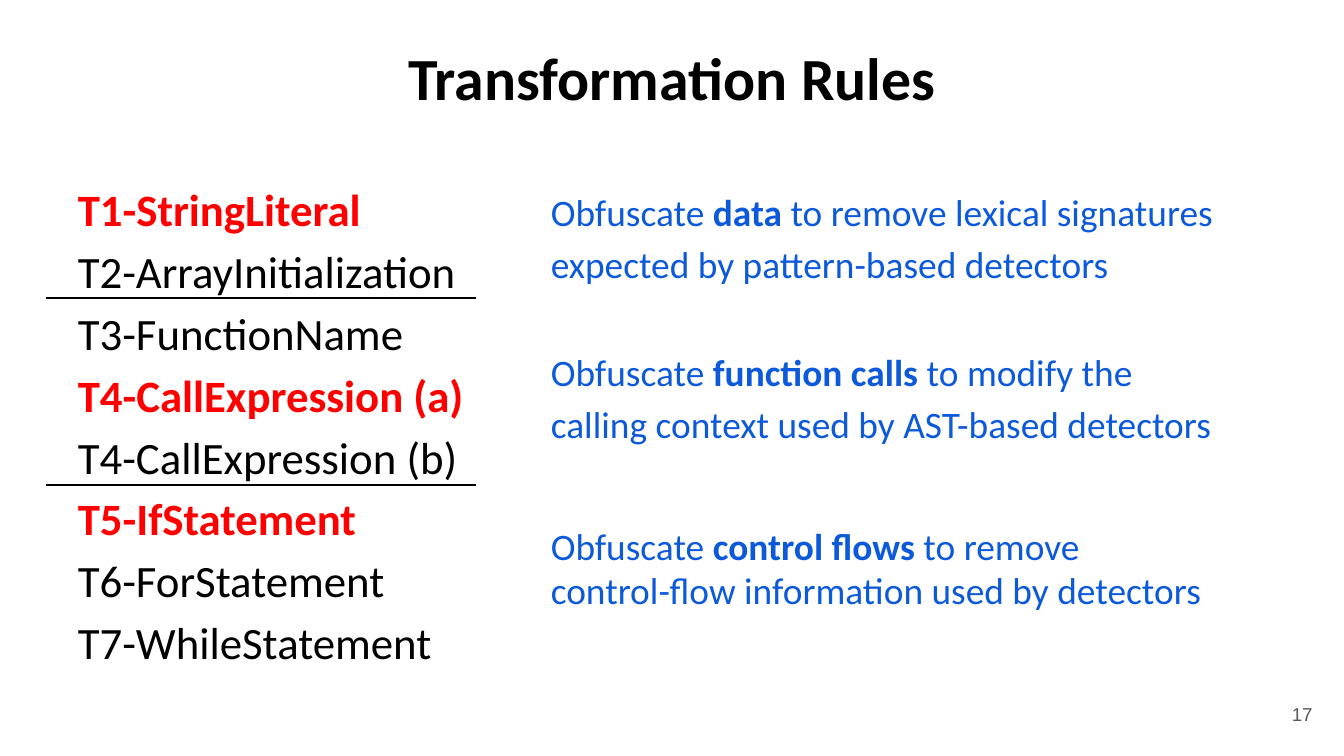
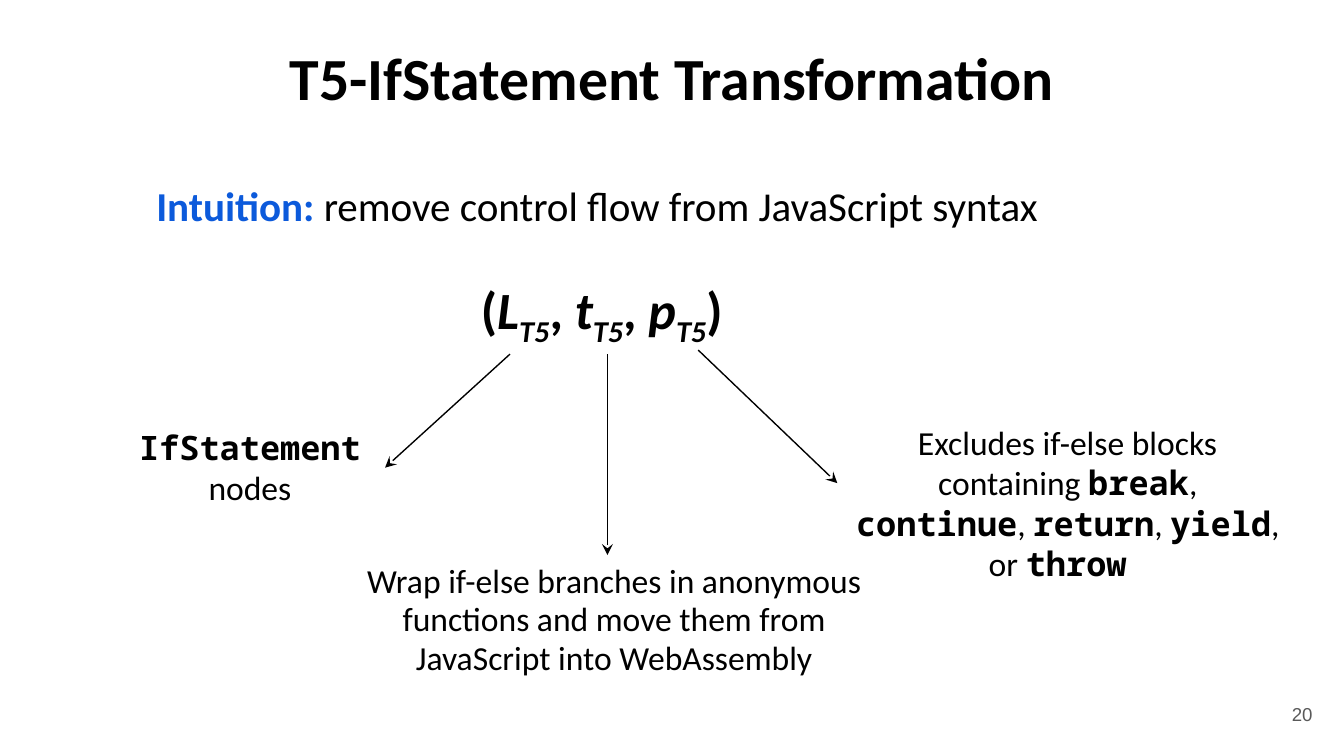
from dataclasses import dataclass, replace

from lxml.etree import SubElement
from pptx import Presentation
from pptx.dml.color import RGBColor
from pptx.enum.shapes import MSO_CONNECTOR as Connector
from pptx.enum.text import MSO_ANCHOR as Anchor, MSO_AUTO_SIZE as AutoSize, PP_ALIGN as Align
from pptx.oxml.ns import qn
from pptx.util import Pt

PX = 4572


@dataclass(frozen=True)
class Style:
    size: int
    color: str = "000000"
    font: str = "Calibri"
    bold: bool = False
    italic: bool = False
    baseline: int = 0


@dataclass(frozen=True)
class Theme:
    background: str = "FFFFFF"
    ink: str = "000000"
    blue: str = "0C5ADB"
    red: str = "FF0000"
    title: Style = Style(32, bold=True)
    rule: Style = Style(24)
    intuition: Style = Style(22)
    purpose: Style = Style(20, blue)
    formula: Style = Style(28, bold=True)
    label: Style = Style(18)
    code: Style = Style(18, font="Noto Sans Mono", bold=True)
    number: Style = Style(10, "595959", "Arial")
    separator_width: float = 1.25
    arrow_width: float = 0.75


class Deck:
    def __init__(self, theme):
        self.theme = theme
        self.presentation = Presentation()
        self.presentation.slide_width = 2000 * PX
        self.presentation.slide_height = 1125 * PX
        self.slide = None

    def start_slide(self, title, number):
        layout = self.presentation.slide_layouts[5]
        self.slide = self.presentation.slides.add_slide(layout)
        fill = self.slide.background.fill
        fill.solid()
        fill.fore_color.rgb = RGBColor.from_string(self.theme.background)
        shape = self.slide.shapes.title
        shape.left, shape.top, shape.width, shape.height = (
            value * PX for value in (68, 40, 1864, 162)
        )
        self.fill_frame(shape, [[(title, self.theme.title)]], align=Align.CENTER, inset=20)
        self.text((1853, 1020, 120, 86), [[(str(number), self.theme.number)]],
                  align=Align.RIGHT, inset=20, anchor=Anchor.MIDDLE)

    def text(self, box, paragraphs, **options):
        shape = self.slide.shapes.add_textbox(*(value * PX for value in box))
        self.fill_frame(shape, paragraphs, **options)
        return shape

    def fill_frame(self, shape, paragraphs, align=Align.LEFT, spacing=1.0,
                   indent=0, inset=10, anchor=Anchor.TOP):
        frame = shape.text_frame
        frame.word_wrap = True
        frame.auto_size = AutoSize.NONE
        frame.vertical_anchor = anchor
        frame.margin_left = frame.margin_right = 20 * PX
        frame.margin_top = frame.margin_bottom = inset * PX
        for index, runs in enumerate(paragraphs):
            paragraph = frame.add_paragraph() if index else frame.paragraphs[0]
            paragraph.alignment = align
            paragraph.line_spacing = spacing
            if indent:
                properties = paragraph._p.get_or_add_pPr()
                properties.set("marL", str(indent * PX))
                properties.set("indent", "0")
            for content, style in runs:
                self.add_run(paragraph, content, style)

    def add_run(self, paragraph, content, style):
        run = paragraph.add_run()
        run.text = content
        run.font.size = Pt(style.size)
        run.font.name = style.font
        run.font.bold = style.bold
        run.font.italic = style.italic
        run.font.color.rgb = RGBColor.from_string(style.color)
        if style.baseline:
            run._r.get_or_add_rPr().set("baseline", str(style.baseline * 1000))

    def line(self, start, end, width, arrow=False):
        points = (value * PX for value in (*start, *end))
        connector = self.slide.shapes.add_connector(Connector.STRAIGHT, *points)
        connector.line.color.rgb = RGBColor.from_string(self.theme.ink)
        connector.line.width = Pt(width)
        if arrow:
            SubElement(connector.line._get_or_add_ln(), qn("a:tailEnd"), type="stealth")
        SubElement(connector._element.spPr, qn("a:effectLst"))
        return connector

    def arrow(self, start, end, target=None, side=0):
        connector = self.line(start, end, self.theme.arrow_width, arrow=True)
        if target is not None:
            connector.end_connect(target, side)


def build_rules(deck):
    theme = deck.theme
    deck.start_slide("Transformation Rules", 17)
    highlighted = replace(theme.rule, color=theme.red, bold=True)
    rules = [
        ("T1-StringLiteral", highlighted),
        ("T2-ArrayInitialization", theme.rule),
        ("T3-FunctionName", theme.rule),
        ("T4-CallExpression (a)", highlighted),
        ("T4-CallExpression (b)", theme.rule),
        ("T5-IfStatement", highlighted),
        ("T6-ForStatement", theme.rule),
        ("T7-WhileStatement", theme.rule),
    ]
    deck.text((68, 239, 1830, 786), [[rule] for rule in rules],
              spacing=1.15, indent=28, inset=20)
    for y in (444, 722):
        deck.line((68, y), (708, y), theme.separator_width)

    strong = replace(theme.purpose, bold=True)
    purposes = [
        ((800, 262, 1038, 170), 1.15, "data",
         " to remove lexical signatures expected by pattern-based detectors"),
        ((800, 500, 1038, 170), 1.15, "function calls",
         " to modify the calling context used by AST-based detectors"),
        ((800, 768, 1012, 154), 1.0, "control flows",
         " to remove control-flow information used by detectors"),
    ]
    for box, spacing, subject, purpose in purposes:
        runs = [("Obfuscate ", theme.purpose), (subject, strong), (purpose, theme.purpose)]
        deck.text(box, [runs], spacing=spacing)


def build_if_statement(deck):
    theme = deck.theme
    deck.start_slide("T5-IfStatement Transformation", 20)
    lead = replace(theme.intuition, color=theme.blue, bold=True)
    deck.text((189, 238, 1784, 182),
              [[("Intuition: ", lead),
                ("remove control flow from JavaScript syntax", theme.intuition)]],
              spacing=1.15, indent=24, inset=20)

    variable = replace(theme.formula, italic=True)
    subscript = replace(variable, baseline=-25)
    formula = []
    for opening, symbol in (("(", "L"), (", ", "t"), (", ", "p")):
        formula += [(opening, theme.formula), (symbol, variable), ("T5", subscript)]
    formula.append((")", theme.formula))
    deck.text((696, 403, 438, 114), [formula])

    deck.text((498, 828, 832, 192),
              [[("Wrap if-else branches in anonymous functions and move them "
                 "from JavaScript into WebAssembly", theme.label)]],
              align=Align.CENTER, spacing=0.95)
    nodes = deck.text((147, 625, 426, 142),
                      [[("IfStatement", theme.code), (" nodes", theme.label)]],
                      align=Align.CENTER, indent=24)
    exclusions = [("Excludes if-else blocks containing ", theme.label)]
    for keyword, separator in (("break", ", "), ("continue", ", "),
                               ("return", ", "), ("yield", ", or ")):
        exclusions += [(keyword, theme.code), (separator, theme.label)]
    exclusions.append(("throw ", theme.code))
    excluded = deck.text((1246, 618, 686, 202), [exclusions], align=Align.CENTER)

    deck.arrow((904, 527), (904, 826))
    deck.arrow((759, 527), (573, 696), nodes, 3)
    deck.arrow((1039, 521), (1246, 719), excluded, 1)


def main():
    deck = Deck(Theme())
    build_rules(deck)
    build_if_statement(deck)
    deck.presentation.save("out.pptx")


if __name__ == "__main__":
    main()
